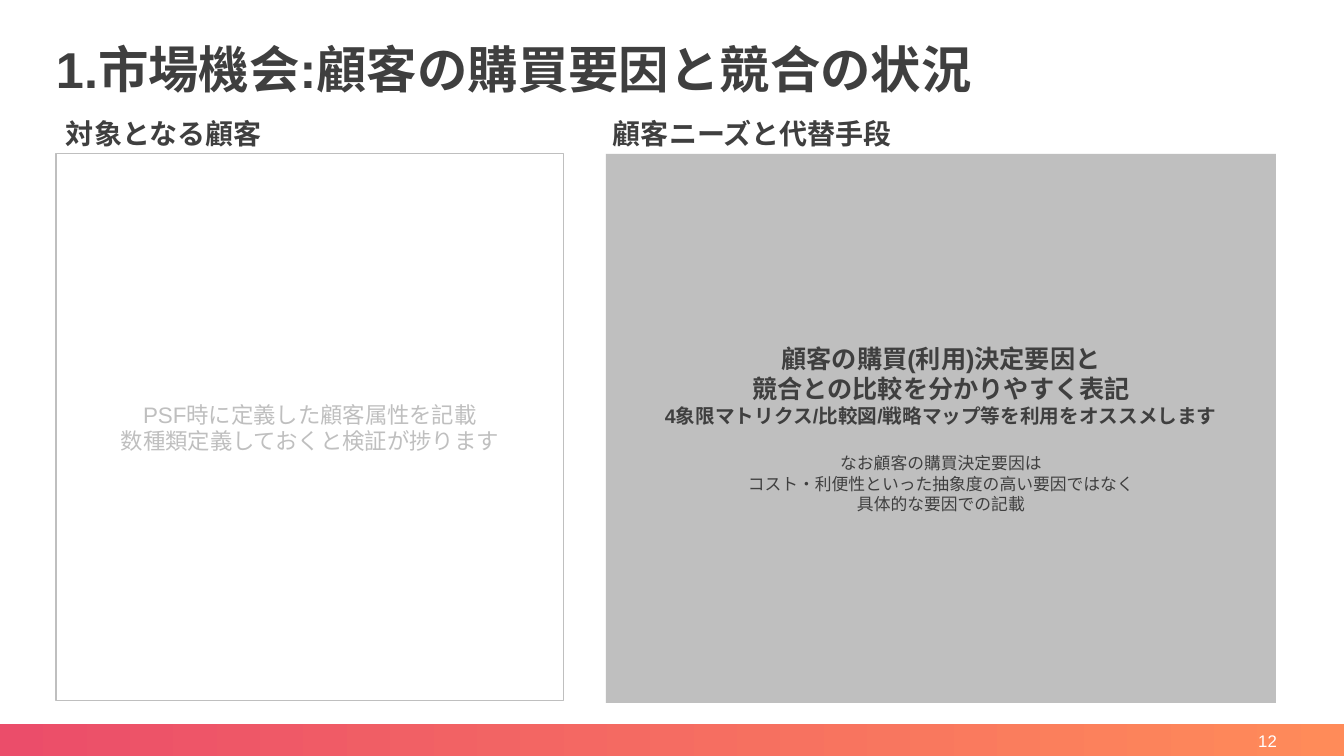
import pptx
import pptx.dml.color
import pptx.enum.dml
import pptx.enum.shapes
import pptx.enum.text
import pptx.oxml.ns
import pptx.util
from lxml import etree

RGB = pptx.dml.color.RGBColor
DARK = RGB(0x3F, 0x3F, 0x3F)
GREY = RGB(0xBF, 0xBF, 0xBF)
WHITE = RGB(0xFF, 0xFF, 0xFF)
PINK = RGB(0xEB, 0x4D, 0x6A)
ORANGE = RGB(0xFF, 0x8B, 0x59)

ALIGN = pptx.enum.text.PP_ALIGN
ANCHOR = pptx.enum.text.MSO_ANCHOR
WIDTH, HEIGHT = 1344, 756
SCALE = 12192000 / WIDTH
INSET_X, INSET_Y = 10, 5

HEADING = {"size": 20, "bold": True, "color": DARK}
LEAD = {"size": 18, "bold": True, "color": DARK}
TIP = {"size": 14, "bold": True, "color": DARK}
NOTE = {"size": 12, "bold": False, "color": DARK}
HINT = {"size": 16, "bold": False, "color": GREY}

TITLE = [("1.市場機会:顧客の購買要因と競合の状況", {"size": 36, "bold": True, "color": DARK}, 0)]
CUSTOMER_HEADING = [("対象となる顧客", HEADING, 0)]
NEEDS_HEADING = [("顧客ニーズと代替手段", HEADING, 0)]
PAGE_NUMBER = [("12", {"size": 12, "bold": False, "color": WHITE}, 0)]
CUSTOMER_HINTS = [
    ("PSF時に定義した顧客属性を記載", HINT, 0),
    ("数種類定義しておくと検証が捗ります", HINT, 0),
]
NEEDS_HINTS = [
    ("顧客の購買(利用)決定要因と", LEAD, 0),
    ("競合との比較を分かりやすく表記", LEAD, 0),
    ("4象限マトリクス/比較図/戦略マップ等を利用をオススメします", TIP, 0),
    ("なお顧客の購買決定要因は", NOTE, 18.4),
    ("コスト・利便性といった抽象度の高い要因ではなく", NOTE, 0),
    ("具体的な要因での記載", NOTE, 0),
]

TITLE_AREA = (56, 29, 1230, 70)
CUSTOMER_AREA = (56, 115, 526, 587)
NEEDS_HEADING_AREA = (603, 115, 594, 48)
CUSTOMER_PANEL = (56, 154, 508, 547)
NEEDS_PANEL = (606, 154, 670, 549)
FOOTER_BAND = (0, 724, WIDTH, HEIGHT - 724)
NUMBER_AREA = (985, 724, 302, 34)


def px(value):
    return pptx.util.Emu(round(value * SCALE))


def apply(target, formats):
    for name, value in formats.items():
        setattr(target, name, value)


def place(box, area):
    apply(box, dict(zip(("left", "top", "width", "height"), map(px, area))))


def write(box, lines, align, anchor, spacing=1.0, insets=(INSET_X, INSET_Y)):
    frame = box.text_frame
    across, down = map(px, insets)
    apply(frame, {
        "word_wrap": True,
        "auto_size": pptx.enum.text.MSO_AUTO_SIZE.NONE,
        "vertical_anchor": anchor,
        "margin_left": across,
        "margin_right": across,
        "margin_top": down,
        "margin_bottom": down,
    })
    for index, (text, style, gap) in enumerate(lines):
        para = frame.add_paragraph() if index else frame.paragraphs[0]
        apply(para, {"alignment": align, "line_spacing": spacing,
                     "space_after": pptx.util.Pt(0)})
        para.space_before = pptx.util.Pt(gap)
        span = para.add_run()
        span.text = text
        apply(span.font, {"name": "Arial", "size": pptx.util.Pt(style["size"]),
                          "bold": style["bold"]})
        span.font.color.rgb = style["color"]


def add_rectangle(page, area):
    box = page.shapes.add_shape(pptx.enum.shapes.MSO_SHAPE.RECTANGLE, *map(px, area))
    box.shadow.inherit = False
    box.line.fill.background()
    return box


def add_label(page, area, lines, align, anchor, spacing):
    box = page.shapes.add_textbox(*map(px, area))
    write(box, lines, align, anchor, spacing)


def main():
    deck = pptx.Presentation()
    apply(deck, {"slide_width": px(WIDTH), "slide_height": px(HEIGHT)})
    page = deck.slides.add_slide(deck.slide_layouts[1])

    title = page.shapes.title
    place(title, TITLE_AREA)
    write(title, TITLE, ALIGN.LEFT, ANCHOR.BOTTOM, 0.9, (0, 0))

    customer = page.placeholders[1]
    place(customer, CUSTOMER_AREA)
    settings = customer.text_frame.paragraphs[0]._p.get_or_add_pPr()
    settings.set("marL", "0")
    settings.set("indent", "0")
    etree.SubElement(settings, pptx.oxml.ns.qn("a:buNone"))
    write(customer, CUSTOMER_HEADING, ALIGN.LEFT, ANCHOR.TOP, 0.9)

    band = add_rectangle(page, FOOTER_BAND)
    band.fill.gradient()
    band.fill.gradient_angle = 0
    for stop, color in zip(band.fill.gradient_stops, (PINK, ORANGE)):
        stop.color.rgb = color
    add_label(page, NUMBER_AREA, PAGE_NUMBER, ALIGN.RIGHT, ANCHOR.MIDDLE, 1.0)

    needs_panel = add_rectangle(page, NEEDS_PANEL)
    needs_panel.fill.solid()
    needs_panel.fill.fore_color.rgb = GREY
    write(needs_panel, NEEDS_HINTS, ALIGN.CENTER, ANCHOR.MIDDLE)
    add_label(page, NEEDS_HEADING_AREA, NEEDS_HEADING, ALIGN.LEFT, ANCHOR.TOP, 0.9)

    customer_panel = add_rectangle(page, CUSTOMER_PANEL)
    customer_panel.fill.background()
    customer_panel.line.color.rgb = GREY
    customer_panel.line.width = pptx.util.Pt(0.75)
    write(customer_panel, CUSTOMER_HINTS, ALIGN.CENTER, ANCHOR.MIDDLE)

    deck.save("out.pptx")


if __name__ == "__main__":
    main()
